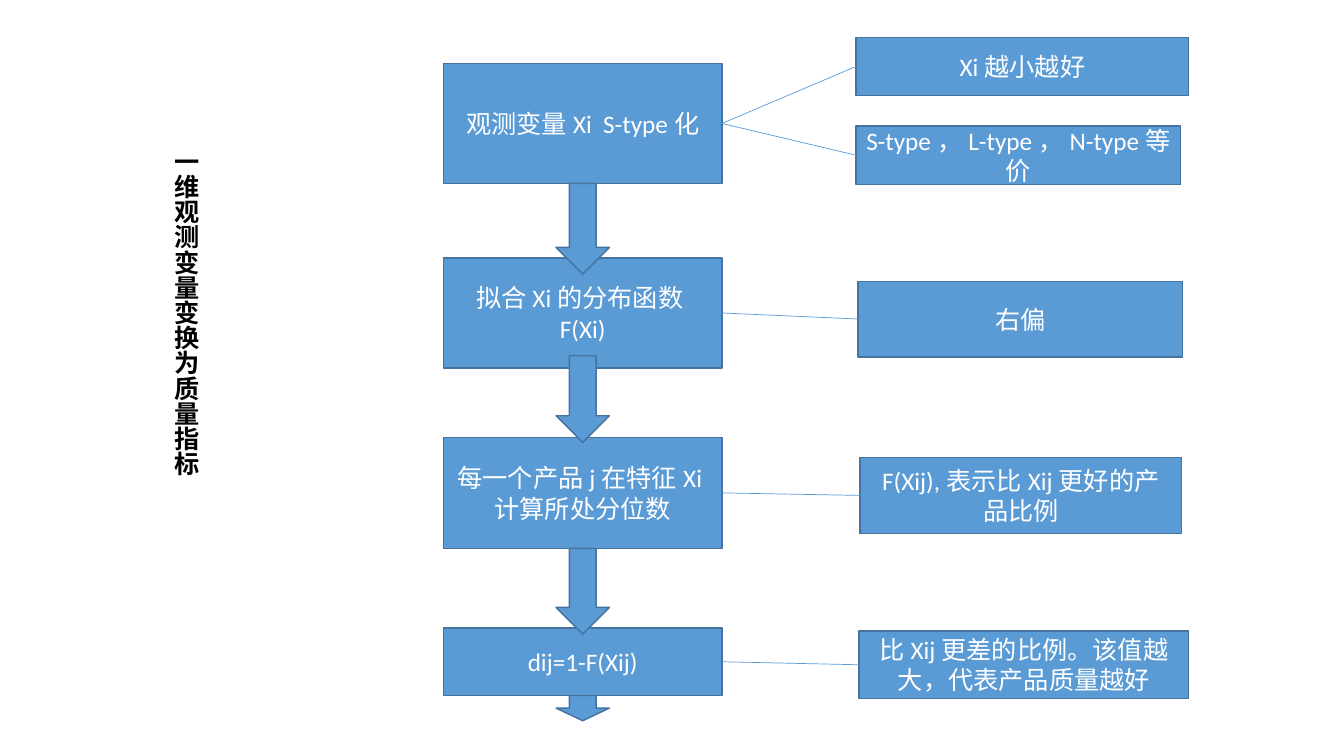
from lxml import etree
from pptx import Presentation
from pptx import util as u
from pptx.dml.color import RGBColor
from pptx.enum import shapes, text
from pptx.oxml.ns import qn

BLUE = RGBColor(0x5B, 0x9B, 0xD5)
OUTLINE = RGBColor(0x43, 0x73, 0x9E)
WHITE = RGBColor(0xFF, 0xFF, 0xFF)
BLACK = RGBColor(0x00, 0x00, 0x00)
RECTANGLE = shapes.MSO_SHAPE.RECTANGLE
DOWN_ARROW = shapes.MSO_SHAPE.DOWN_ARROW
LEFT_SITE, RIGHT_SITE = 1, 3


class FlowSlide:
    font_name = "Calibri"
    font_size = u.Pt(18)

    def __init__(self, presentation):
        self.slide = presentation.slides.add_slide(presentation.slide_layouts[5])

    def add_text(self, paragraph, wording, color, bold=False):
        run = paragraph.add_run()
        run.text = wording
        run.font.name = self.font_name
        run.font.size = self.font_size
        run.font.bold = bold
        run.font.color.rgb = color

    def vertical_title(self, wording, left, top, width, height):
        title = self.slide.shapes.title
        title.left, title.top = u.Inches(left), u.Inches(top)
        title.width, title.height = u.Inches(width), u.Inches(height)
        frame = title.text_frame
        frame.word_wrap = True
        frame.auto_size = text.MSO_AUTO_SIZE.NONE
        frame.vertical_anchor = text.MSO_ANCHOR.TOP
        title._element.txBody.find(qn("a:bodyPr")).set("vert", "eaVert")
        paragraph = frame.paragraphs[0]
        paragraph.alignment = text.PP_ALIGN.LEFT
        paragraph.line_spacing = 1.0
        self.add_text(paragraph, wording, BLACK, bold=True)

    def block(self, kind, left, top, width, height):
        shape = self.slide.shapes.add_shape(
            kind, u.Inches(left), u.Inches(top), u.Inches(width), u.Inches(height))
        shape.shadow.inherit = False
        shape.fill.solid()
        shape.fill.fore_color.rgb = BLUE
        shape.line.color.rgb = OUTLINE
        shape.line.width = u.Pt(1)
        return shape

    def box(self, wording, left, top, width, height):
        shape = self.block(RECTANGLE, left, top, width, height)
        frame = shape.text_frame
        frame.word_wrap = True
        frame.vertical_anchor = text.MSO_ANCHOR.MIDDLE
        paragraph = frame.paragraphs[0]
        paragraph.alignment = text.PP_ALIGN.CENTER
        self.add_text(paragraph, wording, WHITE)
        return shape

    def link(self, step, note):
        connector = self.slide.shapes.add_connector(
            shapes.MSO_CONNECTOR.STRAIGHT, 0, 0, 0, 0)
        connector.begin_connect(step, RIGHT_SITE)
        connector.end_connect(note, LEFT_SITE)
        connector.line.color.rgb = BLUE
        connector.line.width = u.Pt(0.5)
        etree.SubElement(connector._element.spPr, qn("a:effectLst"))


STEP_LEFT, STEP_WIDTH = 4.4, 2.76
ARROW_WIDTH = 0.53
ARROW_LEFT = STEP_LEFT + (STEP_WIDTH - ARROW_WIDTH) / 2

STEPS = [
    ("观测变量Xi  S-type化", 0.63, 1.19, [
        ("Xi越小越好", 8.49, 0.37, 3.3, 0.58),
        ("S-type，L-type，N-type等价", 8.49, 1.25, 3.22, 0.58)]),
    ("拟合Xi的分布函数F(Xi)", 2.56, 1.09, [("右偏", 8.51, 2.79, 3.22, 0.75)]),
    ("每一个产品j在特征Xi计算所处分位数", 4.34, 1.1, [
        ("F(Xij),表示比Xij更好的产品比例", 8.53, 4.54, 3.19, 0.75)]),
    ("dij=1-F(Xij)", 6.23, 0.67, [
        ("比Xij更差的比例。该值越大，代表产品质量越好", 8.52, 6.26, 3.27, 0.67)]),
]
ARROWS = [(1.82, 0.9), (3.53, 0.86), (5.44, 0.85), (6.9, 0.25)]

presentation = Presentation()
presentation.slide_width = u.Inches(13.33)
presentation.slide_height = u.Inches(7.5)

flow = FlowSlide(presentation)
flow.vertical_title("一维观测变量变换为质量指标", 1.6, 1.43, 0.5, 4.47)
for wording, top, height, notes in STEPS:
    step = flow.box(wording, STEP_LEFT, top, STEP_WIDTH, height)
    for note in notes:
        flow.link(step, flow.box(*note))
for top, height in ARROWS:
    flow.block(DOWN_ARROW, ARROW_LEFT, top, ARROW_WIDTH, height)

presentation.save("out.pptx")
